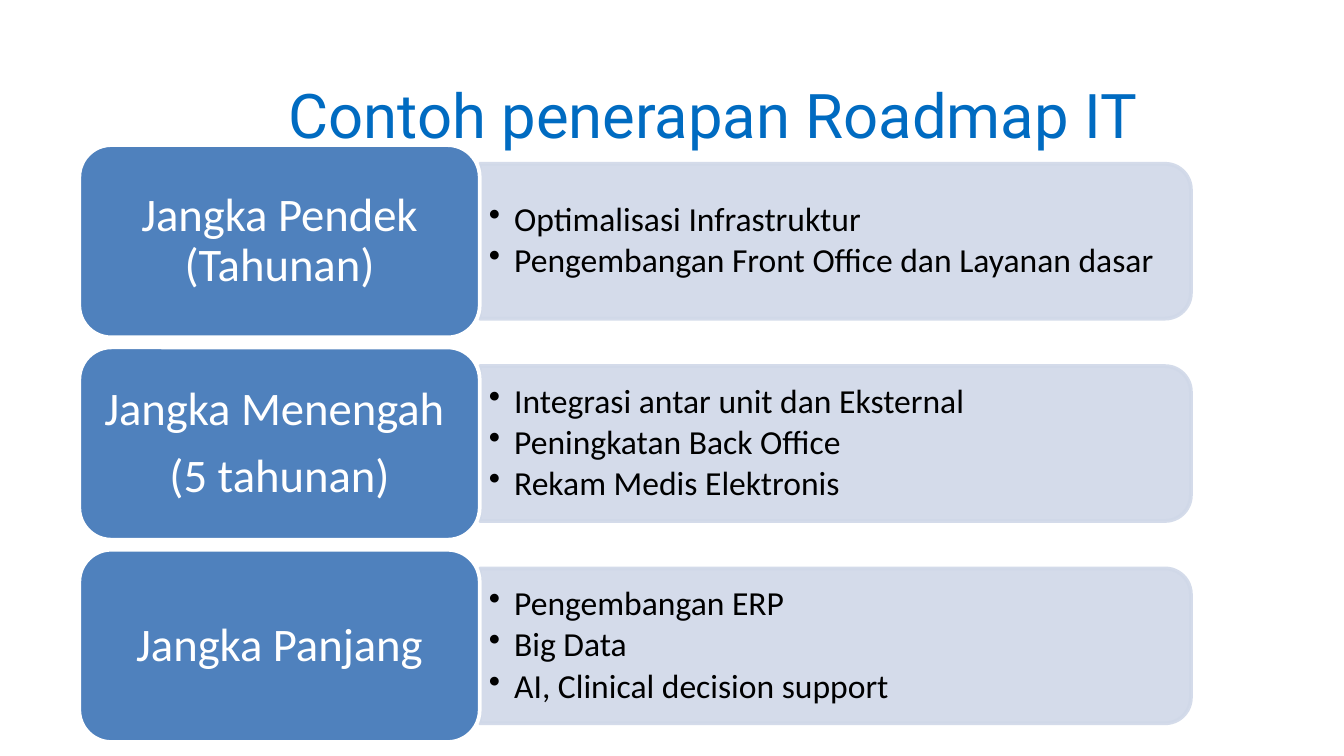
import dataclasses
import typing

import lxml.etree
import pptx
import pptx.dml.color
import pptx.enum.shapes
import pptx.enum.text
import pptx.oxml.ns
import pptx.util

Pt = pptx.util.Pt
Kind = pptx.enum.shapes.MSO_SHAPE
Align = pptx.enum.text.PP_ALIGN
qn = pptx.oxml.ns.qn

FIRST, STEP = 129.25, 108.4
LEFT, WIDE, HIGH = 42.5, 214.5, 103
PANEL, DEPTH = 381, 83


@dataclasses.dataclass
class Phase:
    label: list[str]
    items: list[str]


@dataclasses.dataclass
class Style:
    font: str
    size: float
    color: str
    align: typing.Any = Align.CENTER
    after: float = 0
    line: float = 1.0
    inset: tuple[float, float] = (0, 0)
    bullet: bool = False


TITLE = Style("Roboto", 33, "006BC1")
LABEL = Style("Calibri", 25, "FFFFFF", after=8.75, line=0.9, inset=(7.2, 3.6))
ITEM = Style("Calibri", 18, "000000", Align.LEFT, 2.7, 0.9, (5, 2.5), True)

PHASES = [
    Phase(["Jangka Pendek (Tahunan)"],
          ["Optimalisasi Infrastruktur", "Pengembangan Front Office dan Layanan dasar"]),
    Phase(["Jangka Menengah ", "(5 tahunan)"],
          ["Integrasi antar unit dan Eksternal", "Peningkatan Back Office",
           "Rekam Medis Elektronis"]),
    Phase(["Jangka Panjang"],
          ["Pengembangan ERP", "Big Data", "AI, Clinical decision support"]),
]


def paint(target: typing.Any, color: str) -> None:
    """Set a solid fill or font colour from a hex string."""
    target.rgb = pptx.dml.color.RGBColor.from_string(color)


def write(shape: typing.Any, lines: list[str], style: Style) -> None:
    """Fill a shape with one paragraph per line."""
    frame = shape.text_frame
    frame.word_wrap = True
    frame.vertical_anchor = pptx.enum.text.MSO_ANCHOR.MIDDLE
    frame.margin_left = frame.margin_right = Pt(style.inset[0])
    frame.margin_top = frame.margin_bottom = Pt(style.inset[1])
    for place, line in enumerate(lines):
        para = frame.add_paragraph() if place else frame.paragraphs[0]
        para.alignment = style.align
        para.line_spacing = style.line
        para.space_after = Pt(style.after)
        if style.bullet:
            props = para._p.get_or_add_pPr()
            props.set("marL", str(Pt(13.5)))
            props.set("indent", str(-Pt(13.5)))
            lxml.etree.SubElement(props, qn("a:buChar")).set("char", "•")
        run = para.add_run()
        run.text = line
        run.font.name = style.font
        run.font.size = Pt(style.size)
        paint(run.font.color, style.color)


def block(slide: typing.Any, kind: typing.Any, box: tuple[float, ...],
          fill: str, edge: str, alpha: int = 100) -> typing.Any:
    """Add a filled preset shape with a two point outline."""
    shape = slide.shapes.add_shape(kind, *map(Pt, box))
    shape.shadow.inherit = False
    shape.fill.solid()
    paint(shape.fill.fore_color, fill)
    paint(shape.line.color, edge)
    shape.line.width = Pt(2)
    if alpha < 100:
        for color in shape._element.spPr.iter(qn("a:srgbClr")):
            lxml.etree.SubElement(color, qn("a:alpha")).set("val", str(alpha * 1000))
    return shape


def text(slide: typing.Any, box: tuple[float, ...], lines: list[str], style: Style) -> None:
    """Add a text box."""
    write(slide.shapes.add_textbox(*map(Pt, box)), lines, style)


def draw(slide: typing.Any, phase: Phase, mid: float) -> None:
    """Draw one phase around its vertical centre."""
    edge = LEFT + WIDE
    box = (edge + (PANEL - DEPTH) / 2, mid - PANEL / 2, DEPTH, PANEL)
    panel = block(slide, Kind.ROUND_2_SAME_RECTANGLE, box, "D0D8E8", "D0D8E8", 90)
    panel.rotation = 90
    text(slide, (edge, mid - 37, PANEL - 4, 74), phase.items, ITEM)
    box = (LEFT, mid - HIGH / 2, WIDE, HIGH)
    label = block(slide, Kind.ROUNDED_RECTANGLE, box, "4F81BD", "FFFFFF")
    write(label, phase.label, LABEL)


def main() -> None:
    """Build the roadmap slide."""
    deck = pptx.Presentation()
    deck.slide_width, deck.slide_height = Pt(720), Pt(405)
    slide = deck.slides.add_slide(deck.slide_layouts[6])
    text(slide, (139, 27.5, 486, 67.5), ["Contoh penerapan Roadmap IT"], TITLE)
    for row, phase in enumerate(PHASES):
        draw(slide, phase, FIRST + row * STEP)
    deck.save("out.pptx")


if __name__ == "__main__":
    main()
